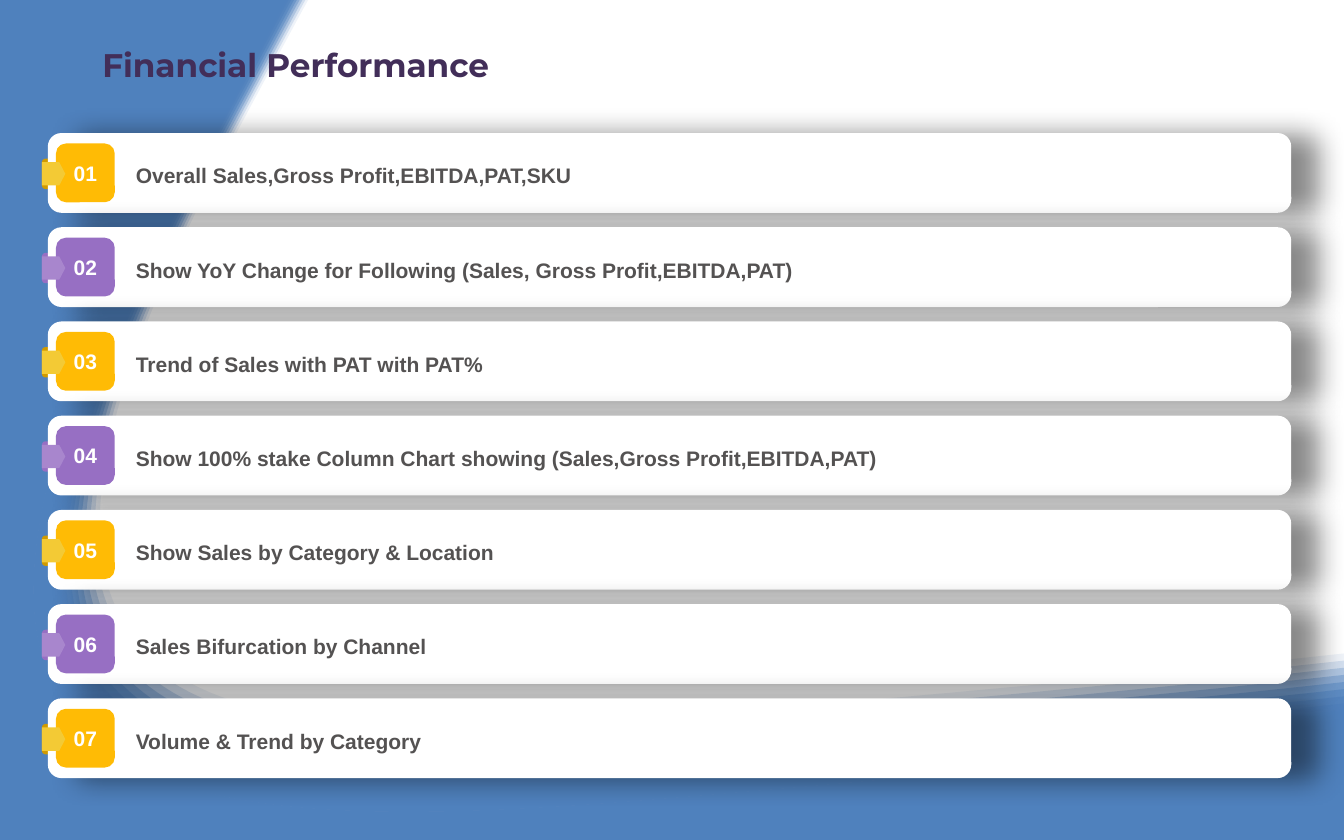
from lxml import etree
from pptx import Presentation
from pptx import util as u
from pptx.dml.color import RGBColor
from pptx.enum import shapes, text
from pptx.oxml.ns import qn

INK = {"blue": "4F81BD", "white": "FFFFFF", "title": "422E59", "body": "545252",
       "gold": "FFBB05", "gold_dark": "D09A00", "gold_light": "F3CA35",
       "plum": "976FC3", "plum_light": "A886CD", "shade": "000000"}
THEMES = [("gold", "gold_dark", "gold_light"), ("plum", "plum", "plum_light")]
ITEMS = ["Overall Sales,Gross Profit,EBITDA,PAT,SKU",
         "Show YoY Change for Following (Sales, Gross Profit,EBITDA,PAT)",
         "Trend of Sales with PAT with PAT%",
         "Show 100% stake Column Chart showing (Sales,Gross Profit,EBITDA,PAT)",
         "Show Sales by Category & Location",
         "Sales Bifurcation by Channel",
         "Volume & Trend by Category"]
WIDE, HIGH, UNIT = 1152, 720, 72
BANDS = 11
EDGE = [(3.18, 0), (3.18, 0), (2.88, .55), (2.35, 1.54), (-1.94, 9.49),
        (1.28, 10.06), (7.86, 9.51), (12.9, 9.09), (16, 8.74), (16, 8.74)]
FAR = [(3.67, 0), (3.66, .01), (3.38, .53), (2.88, 1.46), (-.88, 8.43),
       (1.93, 9.04), (8.28, 8.51), (13.03, 8.12), (15.97, 7.78), (16, 7.78)]
NEAR = [(3.33, 0), (3.25, .15), (2.97, .69), (2.53, 1.52), (-1.71, 9.37),
        (1.47, 9.93), (7.97, 9.39), (12.57, 9.01), (15.58, 8.68), (16, 8.63)]


def paint(shape, ink):
    """Fill a shape plainly, without line or shadow."""
    shape.shadow.inherit = False
    shape.fill.solid()
    shape.fill.fore_color.rgb = RGBColor.from_string(INK[ink])
    shape.line.fill.background()


def fade(color, share):
    """Set the opacity of a colour node in percent."""
    etree.SubElement(color, qn("a:alpha")).set("val", str(round(share * 1000)))


def bend(shape, knots, corners):
    """Replace an outline by a cubic chain out and straight lines back."""
    route = shape._element.spPr.find(".//" + qn("a:path"))
    for node in list(route):
        route.remove(node)
    moves = [("moveTo", knots[:1])]
    moves += [("cubicBezTo", knots[i:i + 3]) for i in range(1, len(knots), 3)]
    for spots in corners:
        if len(spots) == 1:
            moves.append(("lnTo", spots))
        else:
            moves.append(("lnTo", spots[:1]))
            moves += [("cubicBezTo", spots[i:i + 3]) for i in range(1, len(spots), 3)]
    for name, spots in moves + [("close", [])]:
        move = etree.SubElement(route, qn("a:" + name))
        for x, y in spots:
            spot = etree.SubElement(move, qn("a:pt"))
            spot.set("x", str(round(x * UNIT * 100)))
            spot.set("y", str(round(y * UNIT * 100)))


def draw(slide, wide, high, corners, share=100):
    """Draw one blue area that starts along the wave edge."""
    w, h = wide * 100, high * 100
    pen = slide.shapes.build_freeform(0, 0, scale=u.Pt(1) / 100)
    pen.add_line_segments([(w, 0), (w, h), (0, h)], close=True)
    shape = pen.convert_to_shape()
    bend(shape, EDGE, corners)
    paint(shape, "blue")
    if share < 100:
        fade(shape._element.spPr.find(qn("a:solidFill"))[0], share)


def add_wave(slide, wide, high):
    """Draw the blue frame and its soft inner bands."""
    w, h = wide / UNIT, high / UNIT
    draw(slide, wide, high, [[(w, h)], [(0, h)], [(0, 0)]])
    for band in range(BANDS):
        t = band / (BANDS - 1)
        inner = [(p + (r - p) * t, q + (s - q) * t)
                 for (p, q), (r, s) in zip(FAR, NEAR)]
        draw(slide, wide, high, [inner[::-1]], 100 * (band + 1) / BANDS)


def write(shape, words, size, font, ink, align, inset=7.2):
    """Put one bold line of text in a shape."""
    frame = shape.text_frame
    frame.text = words
    frame.word_wrap = True
    frame.vertical_anchor = text.MSO_ANCHOR.MIDDLE
    frame.margin_left = u.Pt(inset)
    line = frame.paragraphs[0]
    line.alignment = align
    face = line.runs[0].font
    face.size, face.name, face.bold = u.Pt(size), font, True
    face.color.rgb = RGBColor.from_string(INK[ink])
    return line


def add_title(slide, left, top, wide, high):
    """Place the slide heading."""
    box = slide.shapes.add_textbox(u.Pt(left), u.Pt(top), u.Pt(wide), u.Pt(high))
    line = write(box, "Financial Performance", 28, "Montserrat", "title",
                 text.PP_ALIGN.LEFT)
    line.line_spacing = 1.1


def cast(shape):
    """Give a card its soft shadow to the right."""
    shade = etree.SubElement(shape._element.spPr.find(qn("a:effectLst")),
                             qn("a:outerShdw"))
    for key, val in (("blurRad", u.Pt(23)), ("dist", u.Pt(23)), ("dir", 3 * 60000),
                     ("algn", "ctr"), ("rotWithShape", 0)):
        shade.set(key, str(val))
    color = etree.SubElement(shade, qn("a:srgbClr"))
    color.set("val", INK["shade"])
    fade(color, 45)


def add_row(slide, number, words, left, top, wide, high):
    """Place one numbered card with its badge and side tab."""
    group = slide.shapes.add_group_shape()
    main, dark, light = THEMES[(number - 1) % len(THEMES)]
    kind = shapes.MSO_SHAPE

    def part(form, x, y, w, h, curve, ink):
        """Add one shape relative to the row."""
        shape = group.shapes.add_shape(form, u.Pt(left + x), u.Pt(top + y),
                                       u.Pt(w), u.Pt(h))
        shape.adjustments[0] = curve
        paint(shape, ink)
        return shape

    part(kind.ROUNDED_RECTANGLE, 0, 22, 24.5, 26, .12, dark)
    card = part(kind.ROUNDED_RECTANGLE, 5, 0, wide - 5, high, .17, "white")
    cast(card)
    line = write(card, words, 18, "Arial", "body", text.PP_ALIGN.JUSTIFY, 72)
    line.line_spacing, line.space_after = 1.2, u.Pt(6)
    frame = card.text_frame
    frame.margin_top = frame.margin_right = frame.margin_bottom = 0
    badge = part(kind.ROUNDED_RECTANGLE, 12, 9, 50.4, 50.4, .17, main)
    write(badge, f"{number:02}", 18, "Arial", "white", text.PP_ALIGN.CENTER)
    part(kind.PENTAGON, 0, 25, 20, 20, .26, light)


def main():
    """Build and save the slide."""
    deck = Presentation()
    deck.slide_width, deck.slide_height = u.Pt(WIDE), u.Pt(HIGH)
    slide = deck.slides.add_slide(deck.slide_layouts[6])
    add_wave(slide, WIDE, HIGH)
    add_title(slide, 80.6, 0, 932, 108)
    for index, words in enumerate(ITEMS):
        add_row(slide, index + 1, words, 36, 114 + index * 80.76, 1070.8, 68.4)
    deck.save("out.pptx")


if __name__ == "__main__":
    main()
